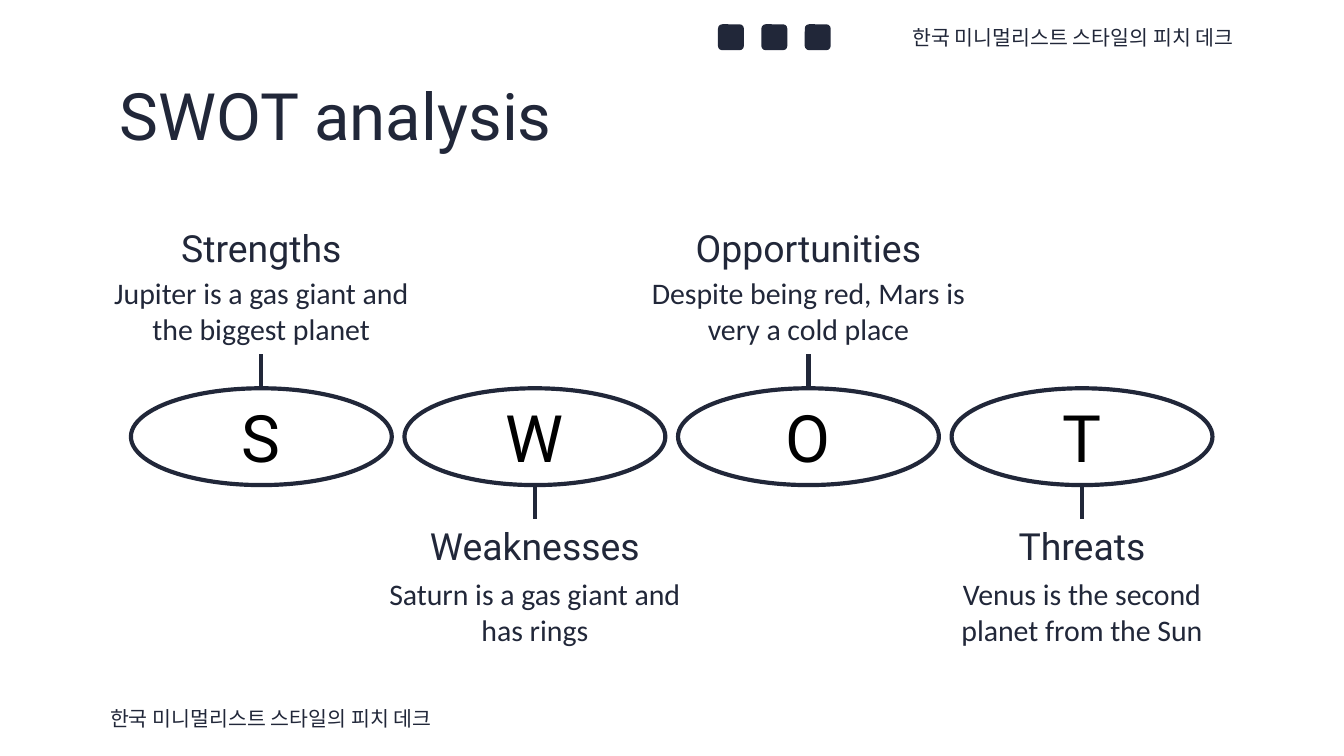
import pptx
import pptx.dml.color
import pptx.enum.shapes
import pptx.enum.text
import pptx.oxml.ns
import pptx.util
from lxml import etree

Cm = pptx.util.Cm
Shapes = pptx.enum.shapes.MSO_SHAPE
Align = pptx.enum.text.PP_ALIGN
Anchor = pptx.enum.text.MSO_ANCHOR

# Content
TITLE = "SWOT analysis"
DECK_NAME = "한국 미니멀리스트 스타일의 피치 데크"
FACTORS = [
    ("S", "Strengths", "Jupiter is a gas giant and the biggest planet"),
    ("W", "Weaknesses", "Saturn is a gas giant and has rings"),
    ("O", "Opportunities", "Despite being red, Mars is very a cold place"),
    ("T", "Threats", "Venus is the second planet from the Sun"),
]

# Formats
NAVY, BLACK = "212739", "000000"
LINE_WIDTH = 2.25
TITLE_FONT = {"name": "Roboto", "size": 35, "color": NAVY}
LETTER_FONT = {"name": "Roboto", "size": 35, "color": BLACK}
HEADING_FONT = {"name": "Roboto", "size": 20, "color": NAVY}
BODY_FONT = {"name": "Calibri", "size": 16, "color": NAVY}
LABEL_FONT = {"name": "League Spartan", "size": 11, "color": NAVY}
PADDED = dict.fromkeys(("left", "top", "right", "bottom"), 0.25)
TIGHT = {"left": 0, "top": 0.03, "right": 0, "bottom": 0}

# Layout in centimetres
FIRST_CENTER, STEP = 4.94, 5.17
OVAL_WIDTH, OVAL_TOP, OVAL_HEIGHT = 4.93, 7.34, 1.83
OVAL_BOTTOM = OVAL_TOP + OVAL_HEIGHT
STEM = 0.64
HEADING_WIDTH, BODY_WIDTH, BODY_HEIGHT = 5.18, 6, 1.55
ABOVE = {"heading": (4.37, 0.74), "body": 5.16, "stem": (OVAL_TOP, OVAL_TOP - STEM)}
BELOW = {"heading": (9.8, 0.94), "body": 10.85, "stem": (OVAL_BOTTOM + STEM, OVAL_BOTTOM)}
ICON_LEFT, ICON_TOP, ICON_SIZE, ICON_STEP = 13.57, 0.46, 0.49, 0.82


def color(value):
    return pptx.dml.color.RGBColor.from_string(value)


def write(shape, text, font, align=Align.CENTER, anchor=Anchor.MIDDLE, margins=PADDED):
    frame = shape.text_frame
    frame.word_wrap = True
    frame.vertical_anchor = anchor
    for side, length in margins.items():
        setattr(frame, "margin_" + side, Cm(length))
    paragraph = frame.paragraphs[0]
    paragraph.alignment = align
    span = paragraph.add_run()
    span.text = text
    values = {"name": font["name"], "size": pptx.util.Pt(font["size"])}
    for key, value in values.items():
        setattr(span.font, key, value)
    span.font.color.rgb = color(font["color"])


def add_text(page, place, text, font, **options):
    box = page.shapes.add_textbox(*map(Cm, place))
    write(box, text, font, **options)


def add_oval(page, center, letter):
    oval = page.shapes.add_shape(Shapes.OVAL, Cm(center - OVAL_WIDTH / 2), Cm(OVAL_TOP),
                                 Cm(OVAL_WIDTH), Cm(OVAL_HEIGHT))
    oval.shadow.inherit = False
    oval.fill.background()
    oval.line.color.rgb = color(NAVY)
    oval.line.width = pptx.util.Pt(LINE_WIDTH)
    write(oval, letter, LETTER_FONT)


def add_stem(page, center, start, end):
    stem = page.shapes.add_connector(pptx.enum.shapes.MSO_CONNECTOR.STRAIGHT,
                                     Cm(center), Cm(start), Cm(center), Cm(end))
    stem.line.color.rgb = color(NAVY)
    stem.line.width = pptx.util.Pt(LINE_WIDTH)
    etree.SubElement(stem._element.spPr, pptx.oxml.ns.qn("a:effectLst"))


def add_factor(page, index, letter, heading, body):
    center = FIRST_CENTER + index * STEP
    side = BELOW if index % 2 else ABOVE
    top, height = side["heading"]
    add_text(page, (center - HEADING_WIDTH / 2, top, HEADING_WIDTH, height),
             heading, HEADING_FONT, anchor=Anchor.BOTTOM, margins=TIGHT)
    add_text(page, (center - BODY_WIDTH / 2, side["body"], BODY_WIDTH, BODY_HEIGHT),
             body, BODY_FONT, anchor=Anchor.TOP, margins=TIGHT)
    add_oval(page, center, letter)
    add_stem(page, center, *side["stem"])


def main():
    deck = pptx.Presentation()
    deck.slide_width, deck.slide_height = Cm(25.4), Cm(14.29)
    page = deck.slides.add_slide(deck.slide_layouts[6])

    # Title, header and footer
    add_text(page, (2.01, 1.5, 21.41, 1.32), TITLE, TITLE_FONT, align=Align.LEFT)
    add_text(page, (16.13, 0.3, 7.44, 0.81), DECK_NAME, LABEL_FONT, align=Align.RIGHT)
    add_text(page, (1.83, 13.18, 7.44, 0.81), DECK_NAME, LABEL_FONT, align=Align.LEFT)

    # Plain header marks
    for index in range(3):
        mark = page.shapes.add_shape(Shapes.ROUNDED_RECTANGLE, Cm(ICON_LEFT + index * ICON_STEP),
                                     Cm(ICON_TOP), Cm(ICON_SIZE), Cm(ICON_SIZE))
        mark.shadow.inherit = False
        mark.fill.solid()
        mark.fill.fore_color.rgb = color(NAVY)
        mark.line.fill.background()

    # Factors, alternating above and below the ovals
    for index, factor in enumerate(FACTORS):
        add_factor(page, index, *factor)

    deck.save("out.pptx")


if __name__ == "__main__":
    main()
